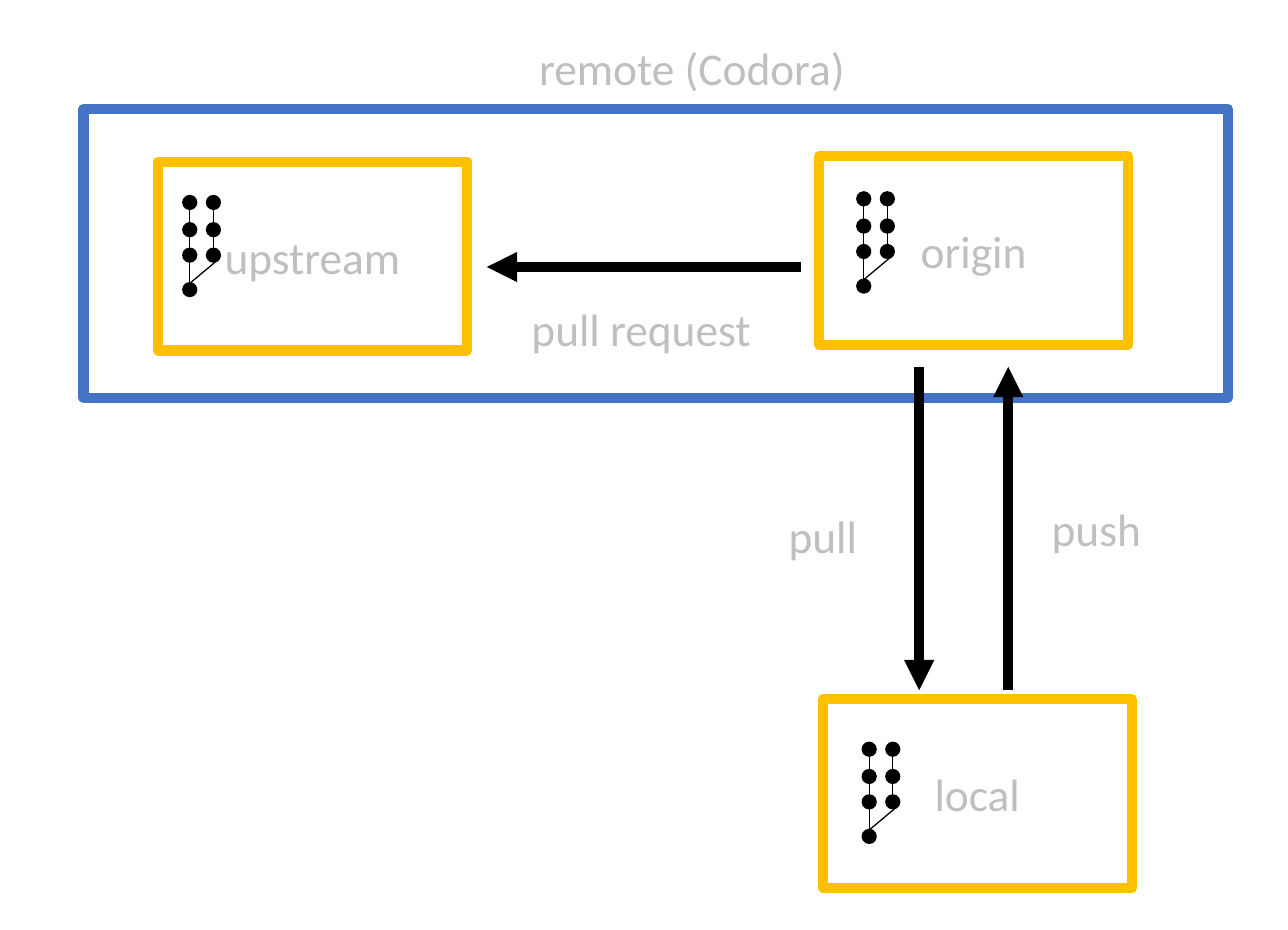
from itertools import pairwise

from pptx import Presentation
from pptx.dml.color import RGBColor
from pptx.enum.shapes import MSO_CONNECTOR as Connector, MSO_SHAPE as Shape
from pptx.enum.text import MSO_ANCHOR as Anchor, MSO_AUTO_SIZE as AutoSize, PP_ALIGN as Align
from pptx.oxml.ns import qn
from pptx.util import Inches, Pt

COLORS = {"white": "FFFFFF", "black": "000000", "remote": "4472C4",
          "repo": "FFC000", "label": "BFBFBF"}
HEAVY, THIN, DOT_LINE = 4, 0.5, 1
DOT = 0.07


class Diagram:
    font = {"name": "Calibri", "size": Pt(18)}
    box_frame = {"word_wrap": True, "vertical_anchor": Anchor.MIDDLE}
    label_frame = {"word_wrap": True, "auto_size": AutoSize.SHAPE_TO_FIT_TEXT}

    def __init__(self, slide):
        self.slide = slide

    def color(self, name):
        return RGBColor.from_string(COLORS[name])

    def apply(self, target, values):
        for key, value in values.items():
            setattr(target, key, value)

    def stroke(self, line, color, width):
        line.color.rgb = self.color(color)
        line.width = Pt(width)

    def add_text(self, shape, text, frame_format):
        frame = shape.text_frame
        self.apply(frame, frame_format)
        paragraph = frame.paragraphs[0]
        paragraph.alignment = Align.CENTER
        run = paragraph.add_run()
        run.text = text
        self.apply(run.font, self.font)
        run.font.color.rgb = self.color("label")

    def shape(self, kind, area, fill, line, width, parent=None):
        shapes = (parent or self.slide).shapes
        shape = shapes.add_shape(kind, *map(Inches, area))
        shape.shadow.inherit = False
        shape.fill.solid()
        shape.fill.fore_color.rgb = self.color(fill)
        self.stroke(shape.line, line, width)
        return shape

    def repo(self, name, left, top):
        box = self.shape(Shape.RECTANGLE, (left, top, 1.7, 1.04), "white", "repo", HEAVY)
        self.add_text(box, name, self.box_frame)

    def label(self, text, left, top, width):
        box = self.slide.shapes.add_textbox(*map(Inches, (left, top, width, 0.4)))
        self.add_text(box, text, self.label_frame)

    def line(self, start, end, width=THIN, parent=None):
        shapes = (parent or self.slide).shapes
        line = shapes.add_connector(Connector.STRAIGHT, *map(Inches, (*start, *end)))
        self.stroke(line.line, "black", width)
        properties = line._element.spPr
        properties.append(properties.makeelement(qn("a:effectLst"), {}))
        return line

    def arrow(self, start, end):
        stroke = self.line(start, end, HEAVY).line._get_or_add_ln()
        stroke.append(stroke.makeelement(qn("a:tailEnd"), {"type": "triangle"}))

    def commit_graph(self, left, top):
        """Trunk of four commits, with a branch of three leaving its first commit."""
        graph = self.slide.shapes.add_group_shape()
        commit_tops = [0, 0.15, 0.29, 0.48]
        for column, tops in ((0, commit_tops), (0.13, commit_tops[:3])):
            x = left + column
            middle = x + DOT / 2
            for y in tops:
                self.shape(Shape.OVAL, (x, top + y, DOT, DOT),
                           "black", "black", DOT_LINE, graph)
            for upper, lower in pairwise(tops):
                self.line((middle, top + upper + DOT), (middle, top + lower), parent=graph)
        self.line((left + 0.19, top + 0.35), (left + DOT / 2, top + 0.48), parent=graph)


presentation = Presentation()
presentation.slide_width = Inches(7.09)
presentation.slide_height = Inches(5.12)
diagram = Diagram(presentation.slides.add_slide(presentation.slide_layouts[6]))

# Remote host
diagram.shape(Shape.RECTANGLE, (0.46, 0.6, 6.3, 1.59), "white", "remote", HEAVY)

# Repositories, each with its commit graph
repos = [("origin", (4.51, 0.86), (4.72, 1.06)),
         ("local", (4.53, 3.85), (4.75, 4.09)),
         ("upstream", (0.87, 0.89), (1.01, 1.08))]
for name, corner, graph_corner in repos:
    diagram.repo(name, *corner)
    diagram.commit_graph(*graph_corner)

# Transfers: pull, push, pull request
for start, end in [((5.06, 2.02), (5.06, 3.8)),
                   ((5.55, 3.8), (5.55, 2.02)),
                   ((4.41, 1.47), (2.68, 1.47))]:
    diagram.arrow(start, end)

# Labels
for text, left, top, width in [("remote (Codora)", 2.74, 0.17, 2.14),
                               ("pull request", 2.8, 1.61, 1.46),
                               ("pull", 3.98, 2.75, 1.1),
                               ("push", 5.62, 2.71, 0.83)]:
    diagram.label(text, left, top, width)

presentation.save("out.pptx")
